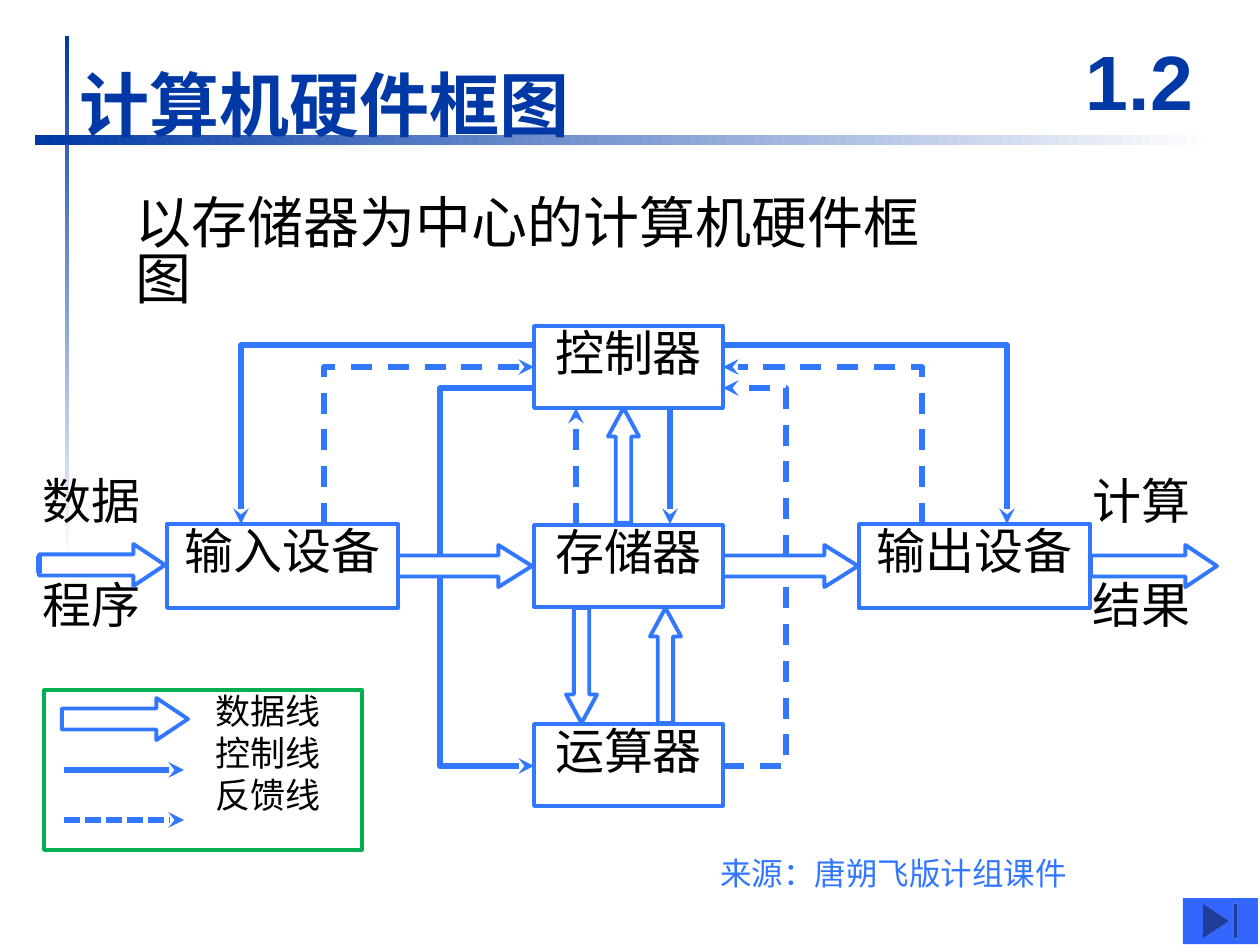
from lxml import etree
from pptx import Presentation
from pptx.dml.color import RGBColor
from pptx.enum.dml import MSO_LINE
from pptx.enum.shapes import MSO_CONNECTOR, MSO_SHAPE
from pptx.enum.text import MSO_ANCHOR, MSO_AUTO_SIZE, PP_ALIGN
from pptx.oxml.ns import qn
from pptx.util import Pt

PX = 914400 / 126
HEX = {"navy": "0039A6", "white": "FFFFFF", "blue": "3177FF",
       "green": "00B050", "black": "000000", "button": "3366FF"}
SANS = "Noto Sans CJK SC"
RECT, END = MSO_SHAPE.RECTANGLE, MSO_SHAPE.ACTION_BUTTON_END
RIGHT, UP = MSO_SHAPE.RIGHT_ARROW, MSO_SHAPE.UP_ARROW
STRAIGHT = MSO_CONNECTOR.STRAIGHT
DASH, SHORT = MSO_LINE.DASH, MSO_LINE.SQUARE_DOT
LEFT, MID = PP_ALIGN.LEFT, PP_ALIGN.CENTER
TOP, CENTER, BOTTOM = MSO_ANCHOR.TOP, MSO_ANCHOR.MIDDLE, MSO_ANCHOR.BOTTOM
FIXED = MSO_AUTO_SIZE.NONE


def emu(*nums):
    """Turn px lengths into EMU."""
    return [round(n * PX) for n in nums]


def tint(name):
    """Look up a named colour."""
    return RGBColor.from_string(HEX[name])


def write(shape, text, size, color="black", font=SANS, bold=False,
          align=LEFT, anchor=TOP, wrap=True, gap=0, pitch=None):
    """Fill a shape with text in one style."""
    frame = shape.text_frame
    frame.text = text
    frame.auto_size = FIXED
    frame.word_wrap = wrap
    frame.vertical_anchor = anchor
    for i, para in enumerate(frame.paragraphs):
        para.alignment = align
        para.space_before = Pt(gap if i else 0)
        if pitch:
            para.line_spacing = pitch
        for run in para.runs:
            run.font.size, run.font.bold, run.font.name = Pt(size), bold, font
            run.font.color.rgb = tint(color)
            east = etree.SubElement(run.font._element, qn("a:ea"))
            east.set("typeface", SANS)


def label(slide, box, text, size, **style):
    """Add a text box."""
    write(slide.shapes.add_textbox(*emu(*box)), text, size, **style)


def stroke(shape, width, color="blue", dash=None, head=False):
    """Style the line of a shape or connector."""
    line = shape.line
    line.color.rgb = tint(color)
    line.width = Pt(width)
    if dash:
        line.dash_style = dash
    if head:
        end = etree.SubElement(line._get_or_add_ln(), qn("a:tailEnd"))
        end.set("type", "stealth")


def outline(slide, kind, box, width=2, color="blue"):
    """Add an unfilled preset shape."""
    shape = slide.shapes.add_shape(kind, *emu(*box))
    shape.shadow.inherit = False
    shape.fill.background()
    stroke(shape, width, color)
    return shape


def block(slide, box, text, width=2):
    """Add a labelled unit of the machine."""
    write(outline(slide, RECT, box, width), text, 28, align=MID, pitch=0.84)


def arrow(slide, kind, box, ratio, turn=0):
    """Add a hollow data arrow."""
    shape = outline(slide, kind, box, 2.25)
    shape.adjustments[0], shape.adjustments[1] = 0.5, ratio
    shape.rotation = turn


def wire(slide, ends, dash=None, head=True):
    """Add a straight signal line."""
    line = slide.shapes.add_connector(STRAIGHT, *emu(*ends))
    stroke(line, 3, dash=dash, head=head)
    etree.SubElement(line._element.spPr, qn("a:effectLst"))


def bend(slide, start, *rest, dash=None, head=True):
    """Add a signal line with a corner."""
    path = slide.shapes.build_freeform(*start, scale=PX)
    path.add_line_segments(rest, close=False)
    shape = path.convert_to_shape()
    shape.shadow.inherit = False
    shape.fill.background()
    stroke(shape, 3, dash=dash, head=head)


def fade(slide, box, angle):
    """Add a bar that fades from navy to white."""
    bar = slide.shapes.add_shape(RECT, *emu(*box))
    bar.shadow.inherit = False
    bar.line.fill.background()
    bar.fill.gradient()
    bar.fill.gradient_angle = angle
    for stop, name in zip(bar.fill.gradient_stops, ("navy", "white")):
        stop.color.rgb = tint(name)


def header(slide):
    """Draw the bars, title, number and lead line."""
    fade(slide, (65, 36, 4, 525), 270)
    fade(slide, (35, 135, 1180, 10), 0)
    title = slide.shapes.title
    title.left, title.top, title.width, title.height = emu(67, 63, 888, 89)
    write(title, "计算机硬件框图", 40, color="navy", bold=True, anchor=BOTTOM,
          pitch=0.84)
    title._element.getparent().append(title._element)
    label(slide, (1061, 22, 157, 116), "1.2", 44, color="navy", font="Arial",
          bold=True, align=MID, anchor=CENTER)
    label(slide, (123, 192, 860, 140), "以存储器为中心的计算机硬件框图", 32,
          font="Times New Roman", pitch=0.84)


def units(slide):
    """Draw the five units and the words beside them."""
    for i, text in enumerate(("控制器", "存储器", "运算器")):
        block(slide, (534, 326 + 199 * i, 189, 82), text)
    block(slide, (167, 524, 231, 84), "输入设备", 2.25)
    block(slide, (859, 524, 231, 84), "输出设备")
    for x, pair in ((30, ("数据", "程序")), (1080, ("计算", "结果"))):
        for y, text in zip((474, 578), pair):
            label(slide, (x, y, 124, 72), text, 28, wrap=False, pitch=0.84)


def flows(slide):
    """Draw the data, control and feedback lines."""
    for x, y, wide, ratio in ((39, 544, 126, 0.75), (398, 545, 134, 0.8),
                              (723, 545, 135, 0.8), (1091, 545, 126, 0.75)):
        arrow(slide, RIGHT, (x, y, wide, 42), ratio)
    for x, y, turn in ((608, 408, 0), (650, 608, 0), (566, 608, 180)):
        arrow(slide, UP, (x, y, 31, 115), 0.92, turn)
    wire(slide, (39, 556, 39, 573), head=False)
    wire(slide, (576, 524, 576, 408), DASH)
    wire(slide, (670, 408, 670, 524))
    bend(slide, (440, 556), (440, 388), (535, 388), head=False)
    bend(slide, (440, 577), (440, 766), (534, 766))
    bend(slide, (723, 766), (786, 766), (786, 577), dash=DASH, head=False)
    bend(slide, (786, 556), (786, 388), (723, 388), dash=DASH)
    for edge, near, far in ((534, 324, 241), (723, 922, 1007)):
        bend(slide, (near, 524), (near, 367), (edge, 367), dash=DASH)
        bend(slide, (edge, 345), (far, 345), (far, 524))


def legend(slide):
    """Draw the key to the three kinds of line."""
    outline(slide, RECT, (44, 690, 318, 160), color="green")
    label(slide, (203, 690, 198, 158), "数据线\n控制线\n反馈线", 20, gap=4,
          pitch=0.84)
    arrow(slide, RIGHT, (62, 698, 126, 42), 0.75)
    wire(slide, (64, 770, 184, 770))
    wire(slide, (64, 820, 184, 820), SHORT)


def footer(slide):
    """Draw the source line and the end button."""
    button = slide.shapes.add_shape(END, *emu(1183, 898, 75, 46))
    button.shadow.inherit = False
    button.fill.solid()
    button.fill.fore_color.rgb = tint("button")
    button.line.fill.background()
    label(slide, (708, 854, 372, 50), "来源：唐朔飞版计组课件", 18,
          color="blue", wrap=False, pitch=0.84)


def main():
    """Build and save the slide."""
    deck = Presentation()
    deck.slide_width, deck.slide_height = emu(1260, 945)
    slide = deck.slides.add_slide(deck.slide_layouts[5])
    for draw in (header, units, flows, legend, footer):
        draw(slide)
    deck.save("out.pptx")


if __name__ == "__main__":
    main()
